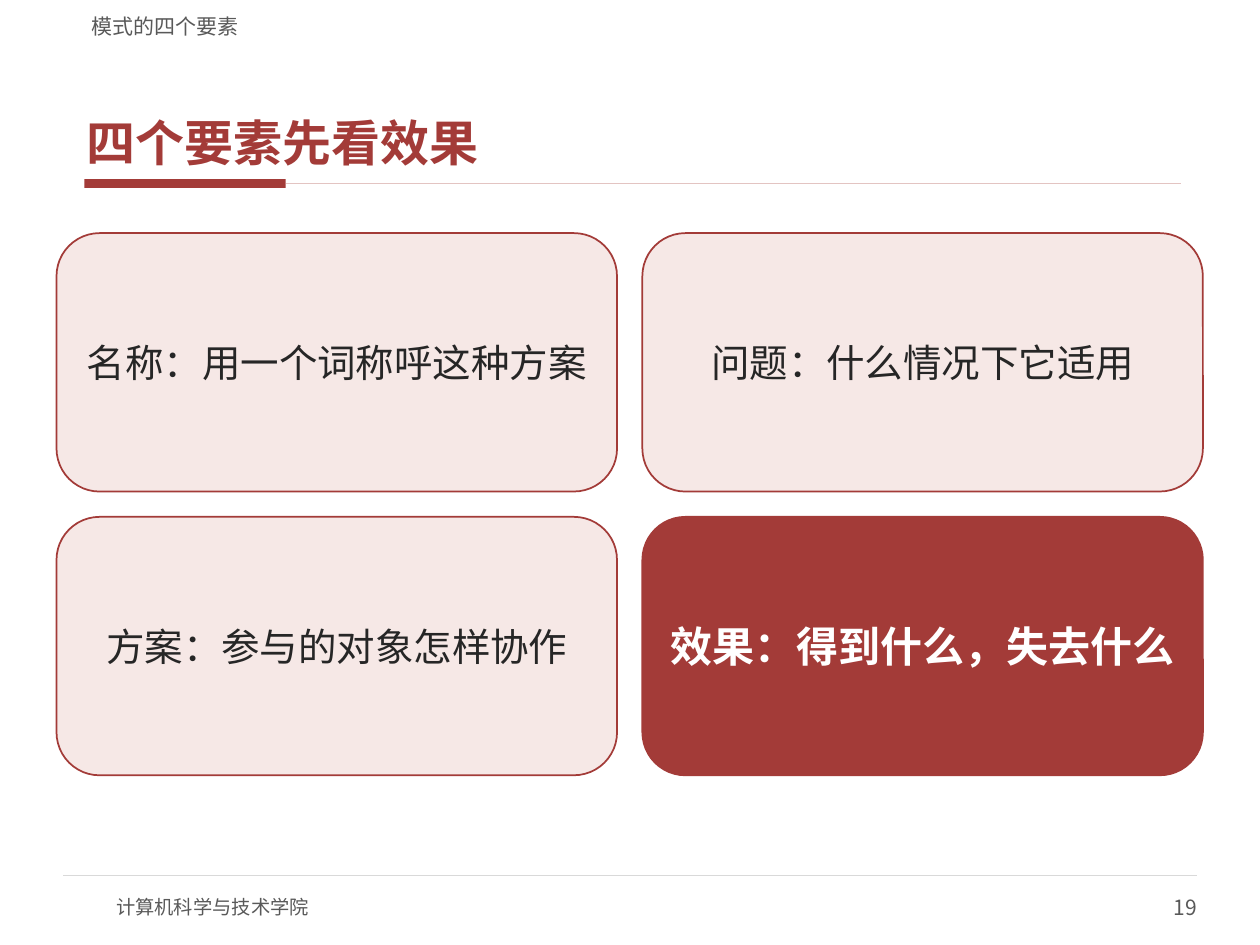
from dataclasses import dataclass
from typing import NamedTuple

from lxml import etree
from pptx import Presentation
from pptx.dml.color import RGBColor
from pptx.enum.shapes import MSO_CONNECTOR, MSO_SHAPE
from pptx.enum.text import MSO_ANCHOR, MSO_AUTO_SIZE, PP_ALIGN
from pptx.oxml.ns import qn
from pptx.util import Cm, Pt

LINE = MSO_CONNECTOR.STRAIGHT
RECT, ROUND = MSO_SHAPE.RECTANGLE, MSO_SHAPE.ROUNDED_RECTANGLE
MIDDLE, BOTTOM = MSO_ANCHOR.MIDDLE, MSO_ANCHOR.BOTTOM
LEFT, CENTER, RIGHT = PP_ALIGN.LEFT, PP_ALIGN.CENTER, PP_ALIGN.RIGHT
NO_FIT = MSO_AUTO_SIZE.NONE


@dataclass(frozen=True)
class Theme:
    font: str = "Noto Sans CJK SC"
    red: str = "A33B38"
    pale: str = "F6E8E6"
    rose: str = "E3C4C2"
    rule: str = "D9D9D9"
    gray: str = "595959"
    ink: str = "262626"
    white: str = "FFFFFF"
    title: float = 28
    strong: float = 24
    body: float = 22
    small: float = 12
    foot: float = 11


THEME = Theme()


class Box(NamedTuple):
    left: float
    top: float
    width: float
    height: float


class Style(NamedTuple):
    size: float
    color: str
    bold: bool = False
    align: PP_ALIGN = LEFT
    anchor: MSO_ANCHOR = MIDDLE
    side: float = 0
    edge: float = 0


class Label(NamedTuple):
    text: str
    box: Box
    style: Style


class Card(NamedTuple):
    text: str
    fill: str
    style: Style


PLAIN = Style(THEME.body, THEME.ink, False, CENTER, MIDDLE, 0.2, 0.1)
STRONG = PLAIN._replace(size=THEME.strong, color=THEME.white, bold=True)
HEAD = Style(THEME.title, THEME.red, True, LEFT, BOTTOM, 0.15, 0.05)
SMALL = Style(THEME.small, THEME.gray)

CARDS = [
    Card("名称：用一个词称呼这种方案", THEME.pale, PLAIN),
    Card("问题：什么情况下它适用", THEME.pale, PLAIN),
    Card("方案：参与的对象怎样协作", THEME.pale, PLAIN),
    Card("效果：得到什么，失去什么", THEME.red, STRONG),
]
GRID = Box(1.14, 4.7, 11.3, 5.21)
GAP = 0.51
COLS = 2

LABELS = [
    Label("模式的四个要素", Box(1.6, 0.1, 22.23, 0.69),
          SMALL._replace(anchor=BOTTOM, side=0.25)),
    Label("计算机科学与技术学院", Box(2.34, 17.78, 10.16, 1.02),
          SMALL._replace(size=THEME.foot)),
    Label("19", Box(19.05, 17.78, 5.08, 1.02), SMALL._replace(align=RIGHT)),
]


def apply(target, values: dict) -> None:
    for name, value in values.items():
        setattr(target, name, value)


def write(shape, text: str, style: Style) -> None:
    frame = shape.text_frame
    apply(frame, {
        "word_wrap": True, "auto_size": NO_FIT, "vertical_anchor": style.anchor,
        "margin_left": Cm(style.side), "margin_right": Cm(style.side),
        "margin_top": Cm(style.edge), "margin_bottom": Cm(style.edge),
    })
    para = frame.paragraphs[0]
    para.alignment = style.align
    run = para.add_run()
    run.text = text
    apply(run.font, {"name": THEME.font, "size": Pt(style.size), "bold": style.bold})
    run.font.color.rgb = RGBColor.from_string(style.color)
    east = etree.SubElement(run._r.get_or_add_rPr(), qn("a:ea"))
    east.set("typeface", THEME.font)


def add_block(slide, kind: MSO_SHAPE, box: Box, fill: str, line: str = ""):
    shape = slide.shapes.add_shape(kind, *map(Cm, box))
    shape.shadow.inherit = False
    shape.fill.solid()
    shape.fill.fore_color.rgb = RGBColor.from_string(fill)
    if line:
        shape.line.color.rgb = RGBColor.from_string(line)
        shape.line.width = Pt(1)
    else:
        shape.line.fill.background()
    return shape


def add_rule(slide, left: float, right: float, top: float, color: str, width: float):
    rule = slide.shapes.add_connector(LINE, Cm(left), Cm(top), Cm(right), Cm(top))
    rule.line.color.rgb = RGBColor.from_string(color)
    rule.line.width = Pt(width)
    etree.SubElement(rule._element.spPr, qn("a:effectLst"))
    return rule


def add_label(slide, label: Label) -> None:
    write(slide.shapes.add_textbox(*map(Cm, label.box)), label.text, label.style)


def add_card(slide, card: Card, index: int) -> None:
    row, col = divmod(index, COLS)
    box = GRID._replace(left=GRID.left + col * (GRID.width + GAP),
                        top=GRID.top + row * (GRID.height + GAP))
    write(add_block(slide, ROUND, box, card.fill, THEME.red), card.text, card.style)


def add_title(slide, text: str, box: Box) -> None:
    title = slide.shapes.title
    apply(title, dict(zip(Box._fields, map(Cm, box))))
    write(title, text, HEAD)
    title.text_frame.paragraphs[0].space_after = Pt(2)


def main() -> None:
    deck = Presentation()
    apply(deck, {"slide_width": Cm(25.4), "slide_height": Cm(19.05)})
    slide = deck.slides.add_slide(deck.slide_layouts[5])
    bar = add_block(slide, RECT, Box(1.7, 3.61, 4.06, 0.18), THEME.red)
    rule = add_rule(slide, 5.76, 23.8, 3.7, THEME.rose, 1)
    rule.begin_connect(bar, 3)
    add_rule(slide, 1.27, 24.13, 17.65, THEME.rule, 0.75)
    add_title(slide, "四个要素先看效果", Box(1.6, 0.84, 22.23, 2.67))
    for index, card in enumerate(CARDS):
        add_card(slide, card, index)
    for label in LABELS:
        add_label(slide, label)
    deck.save("out.pptx")


if __name__ == "__main__":
    main()
